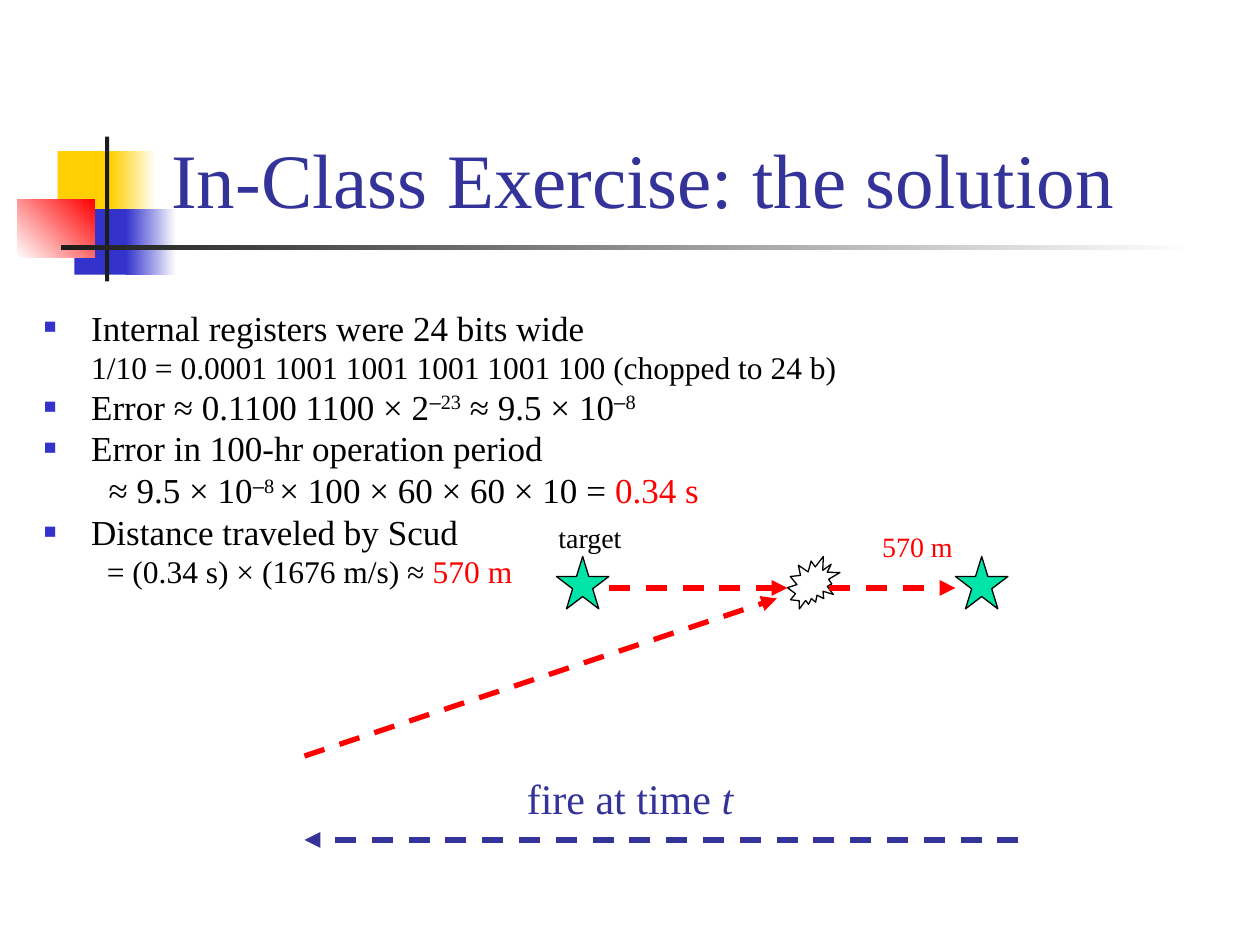
from dataclasses import dataclass

from lxml import etree
from pptx import Presentation
from pptx.dml.color import RGBColor
from pptx.enum.dml import MSO_LINE
from pptx.enum.shapes import MSO_CONNECTOR, MSO_SHAPE
from pptx.enum.text import MSO_ANCHOR, MSO_AUTO_SIZE, PP_ALIGN
from pptx.oxml.ns import qn
from pptx.util import Pt

RECT, STAR = MSO_SHAPE.RECTANGLE, MSO_SHAPE.STAR_5_POINT
BURST = MSO_SHAPE.EXPLOSION2
STRAIGHT, DASH = MSO_CONNECTOR.STRAIGHT, MSO_LINE.DASH
LEFT, TOP, BOTTOM = PP_ALIGN.LEFT, MSO_ANCHOR.TOP, MSO_ANCHOR.BOTTOM
NO_AUTOFIT, GROW = MSO_AUTO_SIZE.NONE, MSO_AUTO_SIZE.SHAPE_TO_FIT_TEXT


@dataclass(frozen=True)
class Theme:
    font: str = "Times New Roman"
    dash_font: str = "Arial"
    black: str = "000000"
    white: str = "FFFFFF"
    red: str = "FF0000"
    navy: str = "333399"
    blue: str = "3333CC"
    yellow: str = "FFCF01"
    charcoal: str = "1C1C1C"
    green: str = "00E4A8"
    title: int = 44
    fire: int = 24
    body: int = 20
    detail: int = 18
    label: int = 16


theme = Theme()


def add_span(para, text, size, color, font=theme.font, raised=False, italic=False):
    span = para.add_run()
    span.text = text
    span.font.name = font
    span.font.size = Pt(size)
    span.font.color.rgb = RGBColor.from_string(color)
    if italic:
        span.font.italic = True
    if raised:
        span._r.get_or_add_rPr().set("baseline", "30000")


def add_figure(page, kind, left, top, width, height):
    shape = page.shapes.add_shape(kind, Pt(left), Pt(top), Pt(width), Pt(height))
    shape.shadow.inherit = False
    return shape


deck = Presentation()
deck.slide_width, deck.slide_height = Pt(720), Pt(540)
page = deck.slides.add_slide(deck.slide_layouts[5])

# Corner ornament and rule: place, colours from start to end, angle
ornament = [
    (33, 86.4, 34.6, 37.4, [theme.yellow], 0),
    (63.4, 86.4, 25.9, 37.4, [theme.yellow, theme.white], 0),
    (42.5, 119.5, 33.1, 37.4, [theme.blue], 0),
    (72, 119.5, 28.8, 37.4, [theme.blue, theme.white], 0),
    (9.8, 114, 44.4, 33.3, [theme.white, theme.red], 45),
    (60, 78, 2.4, 82.8, [theme.charcoal], 0),
    (34.8, 140.1, 648, 2.6, [theme.charcoal, theme.white], 0),
]
for left, top, width, height, colors, angle in ornament:
    block = add_figure(page, RECT, left, top, width, height)
    block.line.fill.background()
    if len(colors) == 1:
        block.fill.solid()
        block.fill.fore_color.rgb = RGBColor.from_string(colors[0])
    else:
        block.fill.gradient()
        block.fill.gradient_angle = angle
        for stop, color in zip(block.fill.gradient_stops, colors):
            stop.color.rgb = RGBColor.from_string(color)

# Title
title = page.shapes.title
title.left, title.top, title.width, title.height = Pt(90.7), Pt(16.6), Pt(613.4), Pt(115.2)
title.text_frame.word_wrap = True
title.text_frame.auto_size = NO_AUTOFIT
title.text_frame.vertical_anchor = BOTTOM
para = title.text_frame.paragraphs[0]
para.alignment = LEFT
add_span(para, "In-Class Exercise: the solution", theme.title, theme.navy)

# Solution steps: bulleted, left margin, size, spans of (text, style)
plain, power, dash = {}, {"raised": True}, {"raised": True, "font": theme.dash_font}
answer = {"color": theme.red}
steps = [
    (True, 27, theme.body, [("Internal registers were 24 bits wide", plain)]),
    (False, 27, theme.detail,
     [("1/10 = 0.0001 1001 1001 1001 1001 100 (chopped to 24 b)", plain)]),
    (True, 27, theme.body,
     [("Error ≈ 0.1100 1100 × 2", plain), ("–", dash), ("23", power),
      (" ≈ 9.5 × 10", plain), ("–", dash), ("8", power)]),
    (True, 27, theme.body, [("Error in 100-hr operation period", plain)]),
    (False, 37, theme.body,
     [("≈ 9.5 × 10", plain), ("–", dash), ("8 ", power),
      ("× 100 × 60 × 60 × 10 = ", plain), ("0.34 s", answer)]),
    (True, 27, theme.body, [("Distance traveled by Scud", plain)]),
    (False, 36, theme.detail,
     [("= (0.34 s) × (1676 m/s) ≈ ", plain), ("570 m", answer)]),
]
box = page.shapes.add_textbox(Pt(18), Pt(176), Pt(480), Pt(174))
frame = box.text_frame
frame.word_wrap = True
frame.vertical_anchor = TOP
for number, (bulleted, margin, size, spans) in enumerate(steps):
    para = frame.add_paragraph() if number else frame.paragraphs[0]
    para.line_spacing = 0.8
    para.space_before = Pt(size * 0.23 if number else 0)
    settings = para._p.get_or_add_pPr()
    settings.set("marL", str(Pt(margin)))
    settings.set("indent", str(Pt(-margin if bulleted else 0)))
    if bulleted:
        color = etree.SubElement(settings, qn("a:buClr"))
        etree.SubElement(color, qn("a:srgbClr"), val=theme.blue)
        etree.SubElement(settings, qn("a:buSzPct"), val="60000")
        etree.SubElement(settings, qn("a:buFont"), typeface=theme.dash_font)
        etree.SubElement(settings, qn("a:buChar"), char="■")
    else:
        etree.SubElement(settings, qn("a:buNone"))
    for text, style in spans:
        add_span(para, text, size, **{"color": theme.black, **style})

# Target positions and the interception burst
for kind, left, fill in [(STAR, 318, theme.green), (BURST, 450, None),
                         (STAR, 546, theme.green)]:
    figure = add_figure(page, kind, left, 318, 30, 30)
    figure.line.color.rgb = RGBColor.from_string(theme.black)
    figure.line.width = Pt(0.75)
    if fill:
        figure.fill.solid()
        figure.fill.fore_color.rgb = RGBColor.from_string(fill)
    else:
        figure.fill.background()

# Dashed arrows
arrows = [
    (348, 336, 450, 336, theme.red),
    (474, 336, 546, 336, theme.red),
    (174, 432, 444, 342, theme.red),
    (582, 480, 174, 480, theme.navy),
]
for *ends, color in arrows:
    arrow = page.shapes.add_connector(STRAIGHT, *[Pt(end) for end in ends])
    arrow.line.color.rgb = RGBColor.from_string(color)
    arrow.line.width = Pt(3)
    arrow.line.dash_style = DASH
    etree.SubElement(arrow.line._get_or_add_ln(), qn("a:tailEnd"), type="triangle")
    etree.SubElement(arrow._element.spPr, qn("a:effectLst"))

# Labels: place, size, colour, spans of (text, italic)
labels = [
    (312, 294, 51, 26.6, theme.label, theme.black, [("target", False)]),
    (497, 299, 54.5, 26.6, theme.label, theme.red, [("570 m", False)]),
    (294, 438, 132.5, 36, theme.fire, theme.navy, [("fire at time ", False), ("t", True)]),
]
for left, top, width, height, size, color, spans in labels:
    box = page.shapes.add_textbox(Pt(left), Pt(top), Pt(width), Pt(height))
    box.text_frame.word_wrap = False
    box.text_frame.auto_size = GROW
    for text, italic in spans:
        add_span(box.text_frame.paragraphs[0], text, size, color, italic=italic)

deck.save("out.pptx")
